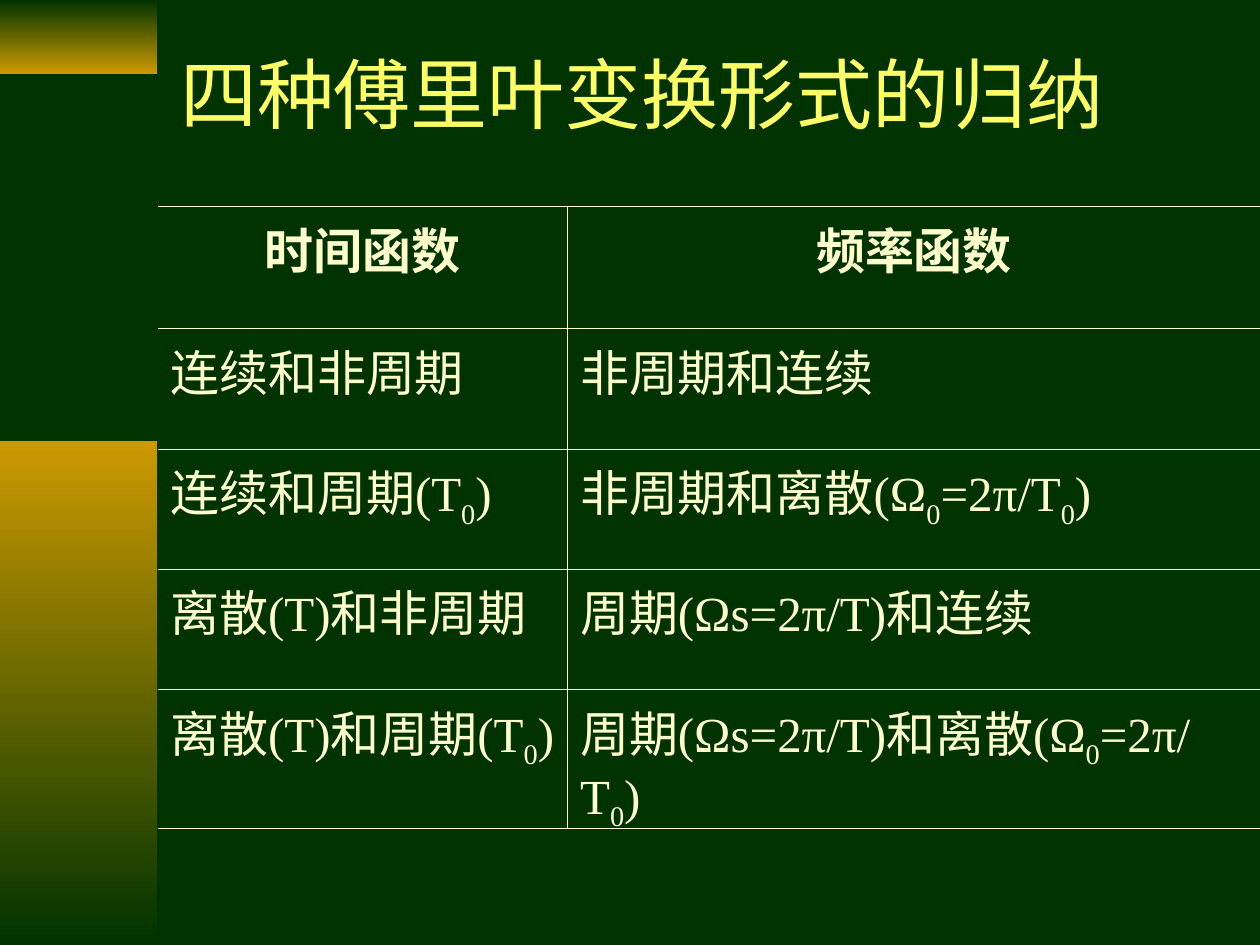
from pptx import Presentation
from pptx.dml.color import RGBColor
from pptx.enum.shapes import MSO_SHAPE
from pptx.enum.text import MSO_ANCHOR, PP_ALIGN
from pptx.oxml.ns import qn
from pptx.util import Cm, Pt
from lxml.etree import SubElement

FONT = "Times New Roman"
GREEN, GOLD, YELLOW, CREAM = "003300", "CC9900", "FFFF66", "FFFFCC"
COLUMN_WIDTHS = [8.26, 13.97]
ROW_HEIGHTS = [2.46, 2.43, 2.42, 2.43, 2.8]
ROWS = [
    ("时间函数", "频率函数"),
    ("连续和非周期", "非周期和连续"),
    ("连续和周期(T_0)", "非周期和离散(Ω_0=2π/T_0)"),
    ("离散(T)和非周期", "周期(Ωs=2π/T)和连续"),
    ("离散(T)和周期(T_0)", "周期(Ωs=2π/T)和离散(Ω_0=2π/T_0)"),
]


def color(value):
    return RGBColor.from_string(value)


def add_run(p, text, size, fill, bold=False, subscript=False):
    r = p.add_run()
    r.text = text
    r.font.name = FONT
    r.font.size = Pt(size)
    r.font.bold = bold
    r.font.color.rgb = color(fill)
    if subscript:
        r._r.get_or_add_rPr().set("baseline", "-25000")


def add_formula(p, text, bold):
    first, *rest = text.split("_")
    add_run(p, first, 28, CREAM, bold)
    for part in rest:
        add_run(p, part[0], 28, CREAM, bold, subscript=True)
        add_run(p, part[1:], 28, CREAM, bold)


def add_gradient_bar(s, top, height, start, end):
    sp = s.shapes.add_shape(MSO_SHAPE.RECTANGLE, 0, Cm(top), Cm(3.17), Cm(height))
    sp.shadow.inherit = False
    sp.line.fill.background()
    sp.fill.gradient()
    sp.fill.gradient_angle = 270
    for stop, value, position in zip(sp.fill.gradient_stops, (start, end), (0, 1)):
        stop.color.rgb = color(value)
        stop.position = position


def add_title(s, text):
    tf = s.shapes.add_textbox(Cm(3.38), Cm(0.2), Cm(21.59), Cm(3.35)).text_frame
    tf.word_wrap = True
    tf.vertical_anchor = MSO_ANCHOR.MIDDLE
    add_run(tf.paragraphs[0], text, 44, YELLOW)


def set_border(cell, side, width):
    ln = SubElement(cell._tc.get_or_add_tcPr(), qn(f"a:ln{side}"), w=str(Pt(width)))
    if width:
        fill = SubElement(ln, qn("a:solidFill"))
        SubElement(fill, qn("a:srgbClr"), val=CREAM)
    else:
        SubElement(ln, qn("a:noFill"))


def fill_cell(cell, text, row, column):
    header = row == 0
    widths = {
        "L": 0.45 if column else 0,
        "R": 0 if column else 0.45,
        "T": 1.08 if header else 0.45,
        "B": 0.45,
    }
    for side, width in widths.items():
        set_border(cell, side, width)
    cell.fill.background()
    p = cell.text_frame.paragraphs[0]
    p.space_before = Pt(7)
    p.alignment = PP_ALIGN.CENTER if header else PP_ALIGN.LEFT
    add_formula(p, text, header)


def add_transform_table(s):
    table = s.shapes.add_table(
        len(ROWS), len(COLUMN_WIDTHS), Cm(3.18), Cm(4.16),
        Cm(sum(COLUMN_WIDTHS)), Cm(sum(ROW_HEIGHTS)),
    ).table
    table.first_row = False
    table.horz_banding = False
    for column, width in zip(table.columns, COLUMN_WIDTHS):
        column.width = Cm(width)
    for row, height in zip(table.rows, ROW_HEIGHTS):
        row.height = Cm(height)
    for i, texts in enumerate(ROWS):
        for j, text in enumerate(texts):
            fill_cell(table.cell(i, j), text, i, j)


def main():
    prs = Presentation()
    prs.slide_width, prs.slide_height = Cm(25.4), Cm(19.05)
    s = prs.slides.add_slide(prs.slide_layouts[6])
    s.background.fill.solid()
    s.background.fill.fore_color.rgb = color(GREEN)
    add_gradient_bar(s, 0, 1.48, GREEN, GOLD)
    add_gradient_bar(s, 8.89, 10.16, GOLD, GREEN)
    add_title(s, "四种傅里叶变换形式的归纳")
    add_transform_table(s)
    prs.save("out.pptx")


if __name__ == "__main__":
    main()
